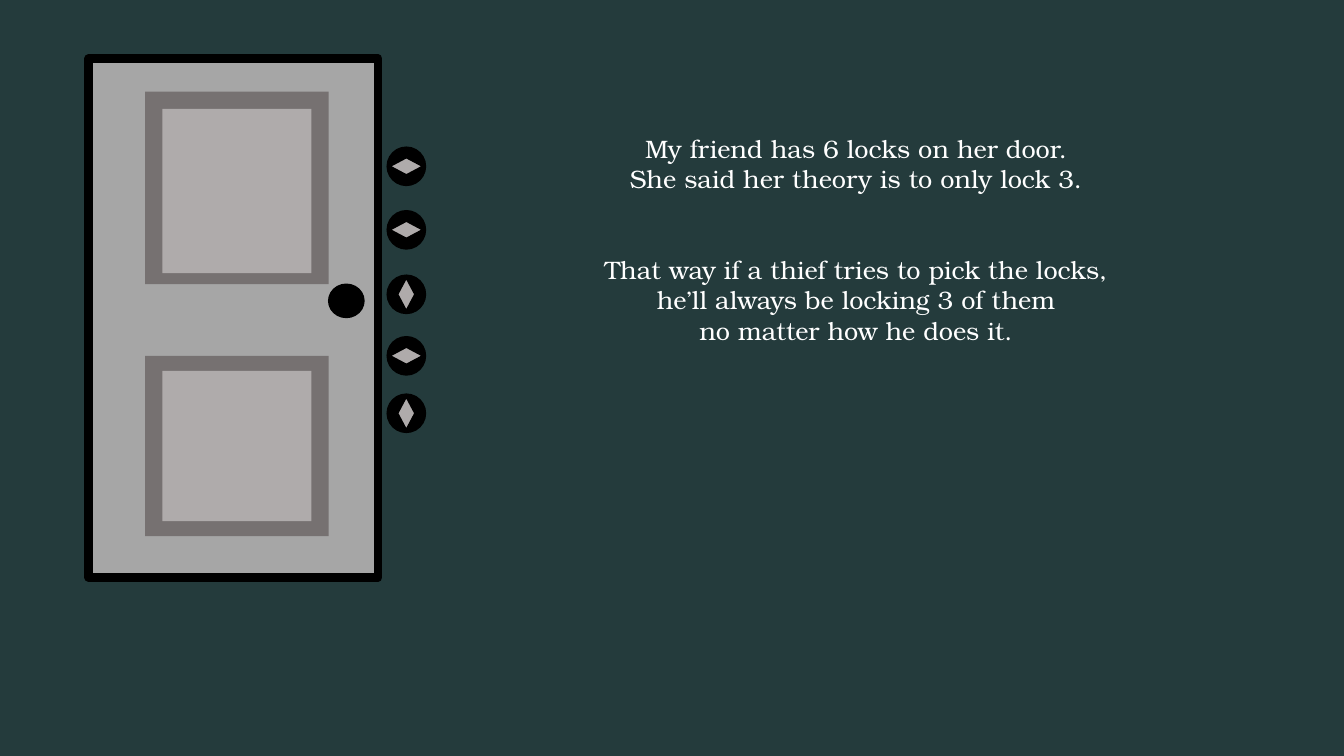
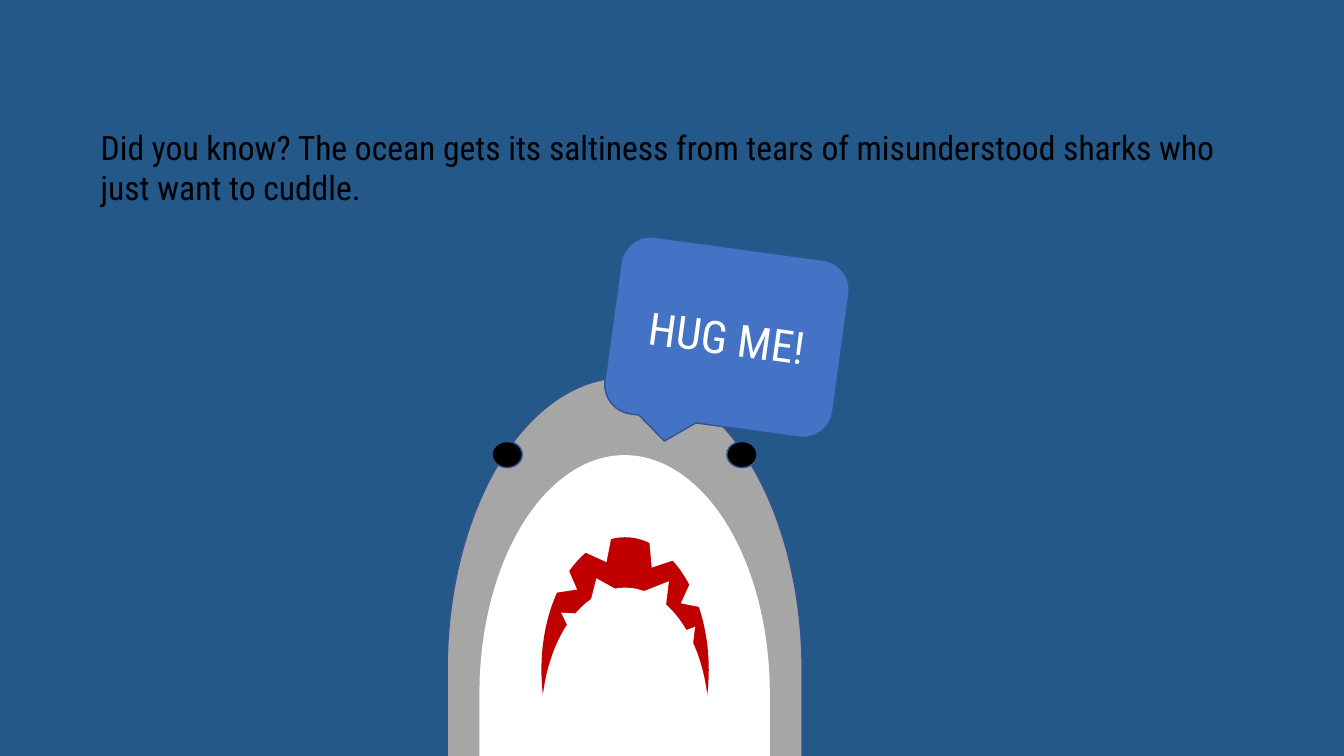
from pptx import Presentation
from pptx.dml.color import RGBColor
from pptx.enum.shapes import MSO_SHAPE
from pptx.enum.text import MSO_ANCHOR, MSO_AUTO_SIZE, PP_ALIGN
from pptx.util import Inches, Pt

BLACK = "000000"
WHITE = "FFFFFF"
STEEL = "A6A6A6"
PANEL = "AFABAB"
PANEL_EDGE = "767171"
OUTLINE = "325491"
BUBBLE = "4472C4"
MOUTH_RED = "C00000"
NIGHT = "243B3C"
OCEAN = "235889"

SERIF = "TeX Gyre Bonum"
SANS = "Roboto Condensed"

LOCK_SIZE = 0.38
LOCK_LEFT = 3.84
# Top of each lock, and the turn of its keyhole
LOCKS = [(1.46, 90), (2.09, 90), (2.73, 0), (3.34, 90), (3.91, 0)]
# Top and height of each door panel's edge, then of its inset
PANELS = [(0.91, 1.91, 1.08, 1.63), (3.53, 1.79, 3.68, 1.49)]

# Left, top, width, height and turn of each tooth
TEETH = [
    (5.77, 5.35, 0.38, 0.24, 152.7),
    (5.48, 5.70, 0.31, 0.20, 119),
    (5.80, 5.73, 0.31, 0.20, 336.6),
    (6.34, 5.41, 0.38, 0.24, 213.1),
    (6.67, 5.81, 0.38, 0.24, 242.7),
    (6.40, 5.74, 0.31, 0.26, 37.8),
    (6.66, 6.19, 0.31, 0.26, 37.8),
    (5.52, 6.02, 0.31, 0.26, 303.5),
]


def rgb(value):
    return RGBColor.from_string(value)


def add_slide(prs, background):
    slide = prs.slides.add_slide(prs.slide_layouts[6])
    slide.background.fill.solid()
    slide.background.fill.fore_color.rgb = rgb(background)
    return slide


def add_figure(slide, kind, box, fill, line=None, line_width=1, turn=0):
    """Add a flat preset shape; box is left, top, width, height in inches."""
    figure = slide.shapes.add_shape(kind, *map(Inches, box))
    figure.shadow.inherit = False
    figure.rotation = turn
    figure.fill.solid()
    figure.fill.fore_color.rgb = rgb(fill)
    if line:
        figure.line.color.rgb = rgb(line)
        figure.line.width = Pt(line_width)
    else:
        figure.line.fill.background()
    return figure


def write(frame, lines, font, size, color, align=PP_ALIGN.LEFT):
    """Fill a text frame with one paragraph per line, all styled alike."""
    frame.word_wrap = True
    frame.text = "\n".join(lines)
    for paragraph in frame.paragraphs:
        paragraph.alignment = align
        paragraph.font.name = font
        paragraph.font.size = Pt(size)
        paragraph.font.color.rgb = rgb(color)


def add_text(slide, box, lines, font, size, color, align=PP_ALIGN.LEFT):
    frame = slide.shapes.add_textbox(*map(Inches, box)).text_frame
    write(frame, lines, font, size, color, align)
    frame.auto_size = MSO_AUTO_SIZE.SHAPE_TO_FIT_TEXT
    return frame


def add_lock(slide, top, turn):
    add_figure(slide, MSO_SHAPE.OVAL, (LOCK_LEFT, top, LOCK_SIZE, LOCK_SIZE),
               BLACK, BLACK)
    width, height = 0.17, 0.32
    keyhole = (LOCK_LEFT + (LOCK_SIZE - width) / 2,
               top + (LOCK_SIZE - height) / 2, width, height)
    add_figure(slide, MSO_SHAPE.FLOWCHART_DECISION, keyhole, PANEL, BLACK,
               turn=turn)


def add_door(slide):
    add_figure(slide, MSO_SHAPE.RECTANGLE, (0.88, 0.58, 2.87, 5.15),
               STEEL, BLACK, 6)
    add_figure(slide, MSO_SHAPE.OVAL, (3.26, 2.82, 0.35, 0.33), BLACK, BLACK)
    for edge_top, edge_height, inset_top, inset_height in PANELS:
        add_figure(slide, MSO_SHAPE.RECTANGLE,
                   (1.44, edge_top, 1.82, edge_height), PANEL_EDGE)
        add_figure(slide, MSO_SHAPE.RECTANGLE,
                   (1.61, inset_top, 1.48, inset_height), PANEL)


def add_shark(slide):
    add_figure(slide, MSO_SHAPE.FLOWCHART_DELAY, (3.3, 4.88, 5.79, 3.52),
               STEEL, OUTLINE, turn=270)
    add_figure(slide, MSO_SHAPE.FLOWCHART_DELAY, (3.83, 5.44, 4.73, 2.88),
               WHITE, turn=270)
    for mouth_top, color in ((5.33, MOUTH_RED), (5.83, WHITE)):
        add_figure(slide, MSO_SHAPE.OVAL, (5.37, mouth_top, 1.66, 2.63), color)
    for *box, turn in TEETH:
        add_figure(slide, MSO_SHAPE.ISOSCELES_TRIANGLE, box, WHITE, turn=turn)
    for eye_left in (7.21, 4.88):
        add_figure(slide, MSO_SHAPE.OVAL, (eye_left, 4.38, 0.3, 0.26),
                   BLACK, OUTLINE)


def build_locks_slide(prs):
    slide = add_slide(prs, NIGHT)
    story = add_text(slide, (4.68, 1.27, 7.62, 2.22), [
        "My friend has 6 locks on her door.",
        "She said her theory is to only lock 3.",
        "That way if a thief tries to pick the locks,",
        "he’ll always be locking 3 of them",
        "no matter how he does it.",
    ], SERIF, 18, WHITE, PP_ALIGN.CENTER)
    story.paragraphs[2].space_before = Pt(43.5)
    for top, turn in LOCKS:
        add_lock(slide, top, turn)
    add_door(slide)


def build_shark_slide(prs):
    slide = add_slide(prs, OCEAN)
    add_text(slide, (0.9, 1.21, 11.31, 0.5), [
        "Did you know? The ocean gets its saltiness from tears of "
        "misunderstood sharks who just want to cuddle.",
    ], SANS, 24, BLACK)
    add_shark(slide)
    bubble = add_figure(slide, MSO_SHAPE.ROUNDED_RECTANGULAR_CALLOUT,
                        (6.07, 2.46, 2.28, 1.77), BUBBLE, OUTLINE, turn=7.8)
    write(bubble.text_frame, ["HUG ME!"], SANS, 32, WHITE, PP_ALIGN.CENTER)
    bubble.text_frame.vertical_anchor = MSO_ANCHOR.MIDDLE


def main():
    prs = Presentation()
    prs.slide_width = Inches(13.33)
    prs.slide_height = Inches(7.5)
    build_locks_slide(prs)
    build_shark_slide(prs)
    prs.save("out.pptx")


if __name__ == "__main__":
    main()
